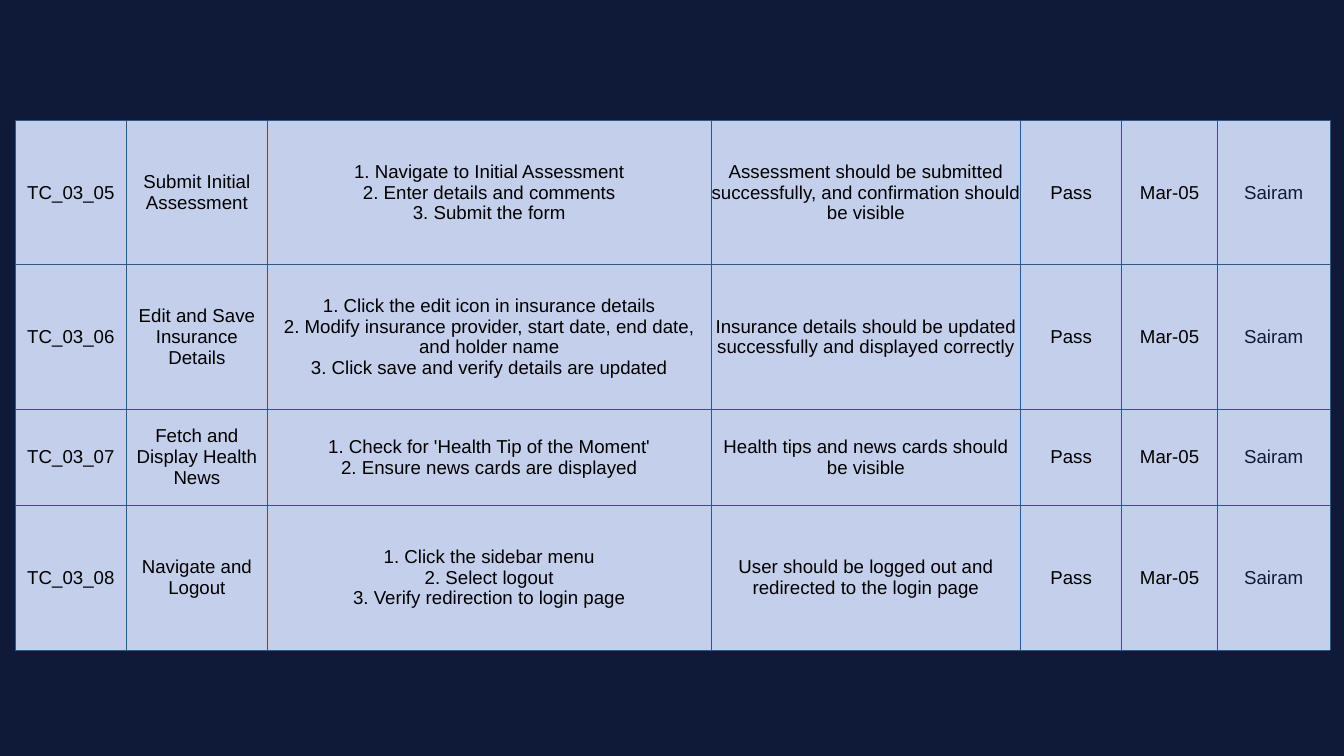
from typing import NamedTuple

from lxml import etree
from pptx import Presentation
from pptx.dml.color import RGBColor
from pptx.enum.text import MSO_ANCHOR, PP_ALIGN
from pptx.oxml.ns import qn
from pptx.util import Inches, Pt

CENTER = PP_ALIGN.CENTER
MIDDLE = MSO_ANCHOR.MIDDLE

NAVY = "0F1A38"
CELL_FILL = "C4CFEB"
BORDER = "2A598E"
BLACK = "000000"

COLUMN_WIDTHS = (1.65, 2.1, 6.6, 4.61, 1.5, 1.43, 1.67)


class TestCase(NamedTuple):
    number: str
    title: str
    steps: str
    expected: str
    height: float
    status: str = "Pass"
    date: str = "Mar-05"
    tester: str = "Sairam"

    def texts(self) -> tuple[str, ...]:
        return (self.number, self.title, self.steps, self.expected,
                self.status, self.date, self.tester)


TEST_CASES = (
    TestCase(
        "TC_03_05", "Submit Initial Assessment",
        "1. Navigate to Initial Assessment\n"
        "2. Enter details and comments\n"
        "3. Submit the form",
        "Assessment should be submitted successfully, "
        "and confirmation should be visible", 2.15),
    TestCase(
        "TC_03_06", "Edit and Save Insurance Details",
        "1. Click the edit icon in insurance details\n"
        "2. Modify insurance provider, start date, end date, and holder name\n"
        "3. Click save and verify details are updated",
        "Insurance details should be updated successfully "
        "and displayed correctly", 2.15),
    TestCase(
        "TC_03_07", "Fetch and Display Health News",
        "1. Check for 'Health Tip of the Moment'\n"
        "2. Ensure news cards are displayed",
        "Health tips and news cards should be visible", 1.43),
    TestCase(
        "TC_03_08", "Navigate and Logout",
        "1. Click the sidebar menu\n"
        "2. Select logout\n"
        "3. Verify redirection to login page",
        "User should be logged out and redirected to the login page", 2.15),
)


def set_color(color_format, value: str) -> None:
    color_format.rgb = RGBColor.from_string(value)


def add_borders(cell, color: str, width: float) -> None:
    properties = cell._tc.get_or_add_tcPr()
    for side in ("lnL", "lnR", "lnT", "lnB"):
        line = etree.SubElement(properties, qn(f"a:{side}"), w=str(Pt(width)))
        fill = etree.SubElement(line, qn("a:solidFill"))
        etree.SubElement(fill, qn("a:srgbClr"), val=color)


def fill_cell(cell, text: str, color: str) -> None:
    add_borders(cell, BORDER, 0.75)
    cell.fill.solid()
    set_color(cell.fill.fore_color, CELL_FILL)
    cell.vertical_anchor = MIDDLE
    cell.margin_left = cell.margin_right = Inches(0)
    cell.margin_top = cell.margin_bottom = Inches(0)
    paragraph = cell.text_frame.paragraphs[0]
    paragraph.text = text
    paragraph.alignment = CENTER
    paragraph.font.name = "Arial"
    paragraph.font.size = Pt(20)
    set_color(paragraph.font.color, color)


def add_test_table(slide, test_cases: tuple[TestCase, ...]) -> None:
    heights = [test_case.height for test_case in test_cases]
    table = slide.shapes.add_table(
        len(test_cases), len(COLUMN_WIDTHS), Inches(0.23), Inches(1.79),
        Inches(sum(COLUMN_WIDTHS)), Inches(sum(heights))).table
    table.first_row = False
    table.horz_banding = False
    for column, width in zip(table.columns, COLUMN_WIDTHS):
        column.width = Inches(width)
    for row, test_case in zip(table.rows, test_cases):
        row.height = Inches(test_case.height)
        *dark_cells, tester_cell = row.cells
        *dark_texts, tester = test_case.texts()
        for cell, text in zip(dark_cells, dark_texts):
            fill_cell(cell, text, BLACK)
        fill_cell(tester_cell, tester, NAVY)


def main() -> None:
    presentation = Presentation()
    presentation.slide_width = Inches(20)
    presentation.slide_height = Inches(11.25)
    slide = presentation.slides.add_slide(presentation.slide_layouts[6])
    slide.background.fill.solid()
    set_color(slide.background.fill.fore_color, NAVY)
    add_test_table(slide, TEST_CASES)
    presentation.save("out.pptx")


if __name__ == "__main__":
    main()
